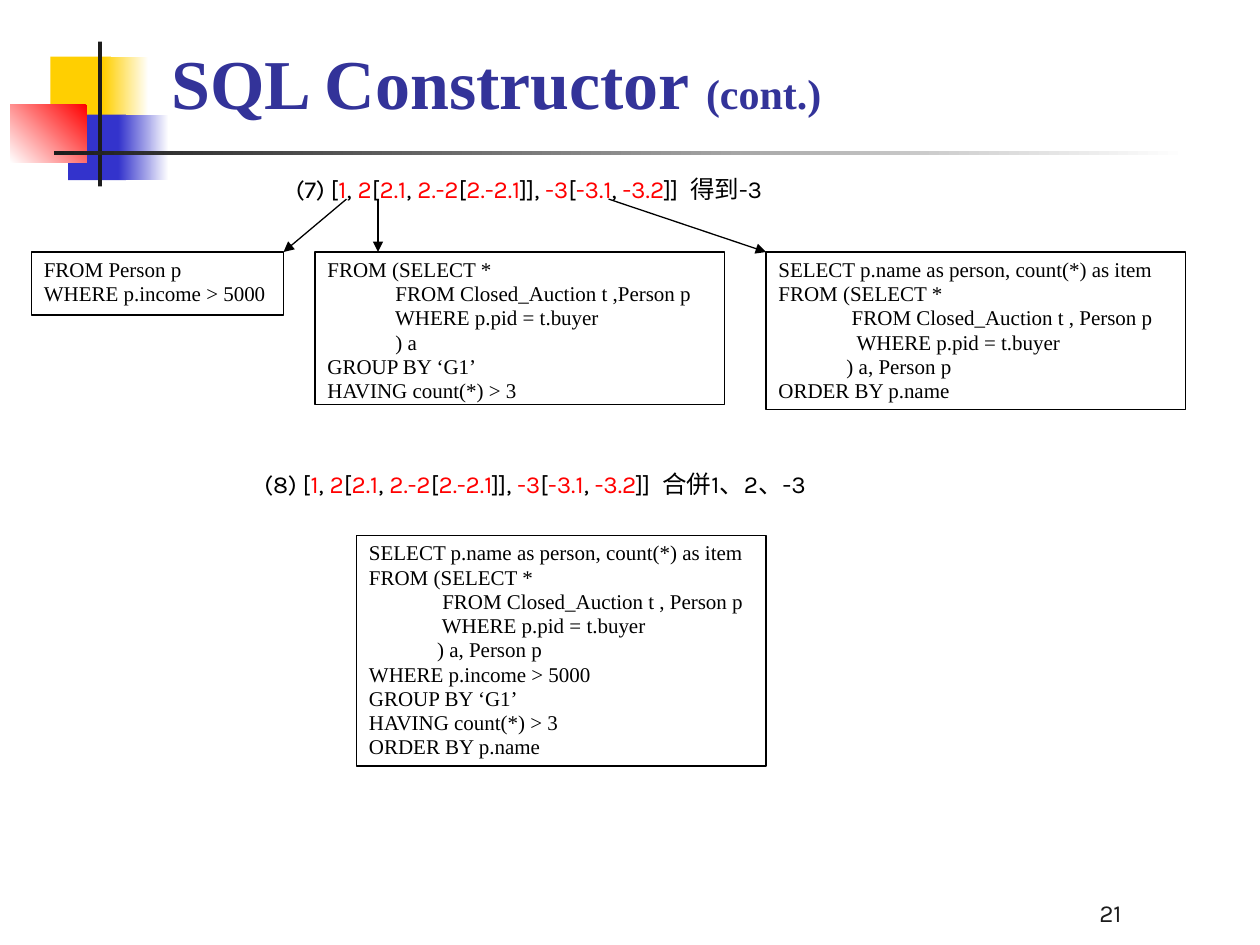
from typing import NamedTuple

from lxml.etree import SubElement
from pptx import Presentation
from pptx.dml.color import RGBColor
from pptx.enum.shapes import MSO_CONNECTOR, MSO_SHAPE
from pptx.enum.text import MSO_ANCHOR, PP_ALIGN
from pptx.oxml.ns import qn
from pptx.util import Inches, Pt

BLACK, RED, WHITE, DARK, NAVY = "000000", "FF0000", "FFFFFF", "1C1C1C", "333399"
SERIF, SANS = "Times New Roman", "Karla"


class Box(NamedTuple):
    left: float
    top: float
    width: float
    height: float


class Block(NamedTuple):
    box: Box
    fill: str
    fade_to: str = ""
    angle: float = 180


class Run(NamedTuple):
    text: str
    color: str = BLACK
    size: float = 12


class Query(NamedTuple):
    box: Box
    code: str


class Arrow(NamedTuple):
    x1: float
    y1: float
    x2: float
    y2: float


class Step(NamedTuple):
    box: Box
    number: str
    result: str


BLOCKS = [
    Block(Box(0.4, 0.45, 0.48, 0.52), "FFCF01"),
    Block(Box(0.82, 0.45, 0.36, 0.52), WHITE, "FFCF01"),
    Block(Box(0.54, 0.91, 0.46, 0.52), "3333CC"),
    Block(Box(0.94, 0.91, 0.4, 0.52), WHITE, "3333CC"),
    Block(Box(0.08, 0.83, 0.61, 0.46), RED, WHITE, 225),
    Block(Box(0.78, 0.33, 0.03, 1.15), DARK),
    Block(Box(0.43, 1.2, 9, 0.03), WHITE, DARK),
]

STEPS = [
    Step(Box(2.25, 1.33, 4.83, 0.34), "(7)", "得到-3"),
    Step(Box(2, 3.67, 5.5, 0.34), "(8)", "合併1、2、-3"),
]

QUERIES = [
    Query(Box(0.25, 2, 2, 0.5), """FROM Person p
WHERE p.income > 5000"""),
    Query(Box(2.5, 2, 3.25, 1.21), """FROM (SELECT *
             FROM Closed_Auction t ,Person p
             WHERE p.pid = t.buyer
             ) a
GROUP BY ‘G1’
HAVING count(*) > 3"""),
    Query(Box(6.08, 2, 3.33, 1.25), """SELECT p.name as person, count(*) as item
FROM (SELECT *
              FROM Closed_Auction t , Person p
               WHERE p.pid = t.buyer
             ) a, Person p
ORDER BY p.name"""),
    Query(Box(2.83, 4.25, 3.25, 1.83), """SELECT p.name as person, count(*) as item
FROM (SELECT *
              FROM Closed_Auction t , Person p
              WHERE p.pid = t.buyer
             ) a, Person p
WHERE p.income > 5000
GROUP BY ‘G1’
HAVING count(*) > 3
ORDER BY p.name"""),
]

ARROWS = [
    Arrow(2.75, 1.58, 2.25, 2),
    Arrow(3, 1.58, 3, 2),
    Arrow(4.83, 1.58, 6.08, 2),
]


def rgb(color: str) -> RGBColor:
    return RGBColor.from_string(color)


def inches(box: Box) -> list:
    return [Inches(v) for v in box]


def write(s, lines: list[list[Run]], font=SERIF, bold=False, spacing=None,
          align=PP_ALIGN.LEFT, anchor=MSO_ANCHOR.TOP) -> None:
    tf = s.text_frame
    tf.word_wrap = True
    tf.vertical_anchor = anchor
    for i, runs in enumerate(lines):
        p = tf.add_paragraph() if i else tf.paragraphs[0]
        p.alignment = align
        p.line_spacing = spacing
        for run in runs:
            r = p.add_run()
            r.text = run.text
            r.font.name = font
            r.font.size = Pt(run.size)
            r.font.bold = bold
            r.font.color.rgb = rgb(run.color)


def add_text(slide, box: Box, runs: list[Run], **fmt) -> None:
    write(slide.shapes.add_textbox(*inches(box)), [runs], **fmt)


def add_rect(slide, box: Box):
    s = slide.shapes.add_shape(MSO_SHAPE.RECTANGLE, *inches(box))
    s.shadow.inherit = False
    return s


def add_block(slide, block: Block) -> None:
    s = add_rect(slide, block.box)
    s.line.fill.background()
    if block.fade_to:
        s.fill.gradient()
        s.fill.gradient_angle = block.angle
        for stop, color in zip(s.fill.gradient_stops, (block.fill, block.fade_to)):
            stop.color.rgb = rgb(color)
    else:
        s.fill.solid()
        s.fill.fore_color.rgb = rgb(block.fill)


def add_query(slide, query: Query) -> None:
    s = add_rect(slide, query.box)
    s.fill.solid()
    s.fill.fore_color.rgb = rgb(WHITE)
    s.line.color.rgb = rgb(BLACK)
    s.line.width = Pt(0.75)
    write(s, [[Run(line)] for line in query.code.split("\n")], spacing=0.96)


def add_step(slide, step: Step) -> None:
    parts = [f"{step.number} [", "1", ", ", "2", "[", "2.1", ", ", "2.-2", "[", "2.-2.1",
             "]], ", "-3", "[", "-3.1", ", ", "-3.2", f"]]  {step.result}"]
    runs = [Run(t, RED if i % 2 else BLACK, 14) for i, t in enumerate(parts)]
    add_text(slide, step.box, runs, font=SANS)


def add_arrow(slide, arrow: Arrow) -> None:
    s = slide.shapes.add_connector(MSO_CONNECTOR.STRAIGHT, *[Inches(v) for v in arrow])
    s.line.color.rgb = rgb(BLACK)
    s.line.width = Pt(0.75)
    SubElement(s.line._get_or_add_ln(), qn("a:tailEnd"), type="triangle")
    SubElement(s._element.spPr, qn("a:effectLst"))


def main() -> None:
    prs = Presentation()
    prs.slide_width, prs.slide_height = Inches(10), Inches(7.5)
    slide = prs.slides.add_slide(prs.slide_layouts[6])
    for block in BLOCKS:
        add_block(slide, block)
    add_text(slide, Box(1.26, 0.17, 8.52, 0.86),
             [Run("SQL Constructor ", NAVY, 40), Run("(cont.)", NAVY, 24)],
             bold=True, anchor=MSO_ANCHOR.BOTTOM)
    for step in STEPS:
        add_step(slide, step)
    for query in QUERIES:
        add_query(slide, query)
    for arrow in ARROWS:
        add_arrow(slide, arrow)
    add_text(slide, Box(6.92, 6.91, 2.08, 0.5), [Run("21", DARK, 14)],
             font=SANS, align=PP_ALIGN.RIGHT, anchor=MSO_ANCHOR.BOTTOM)
    prs.save("out.pptx")


if __name__ == "__main__":
    main()
